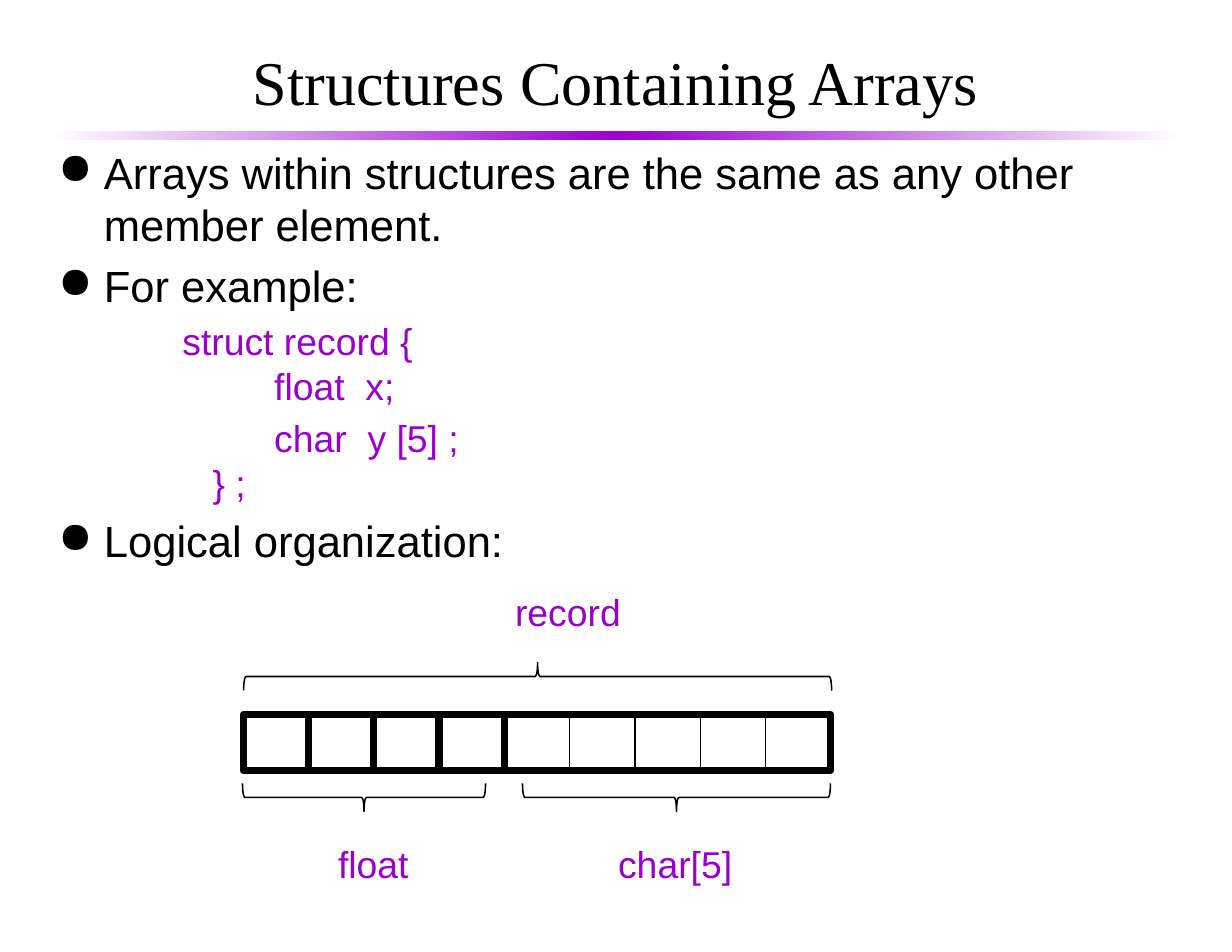
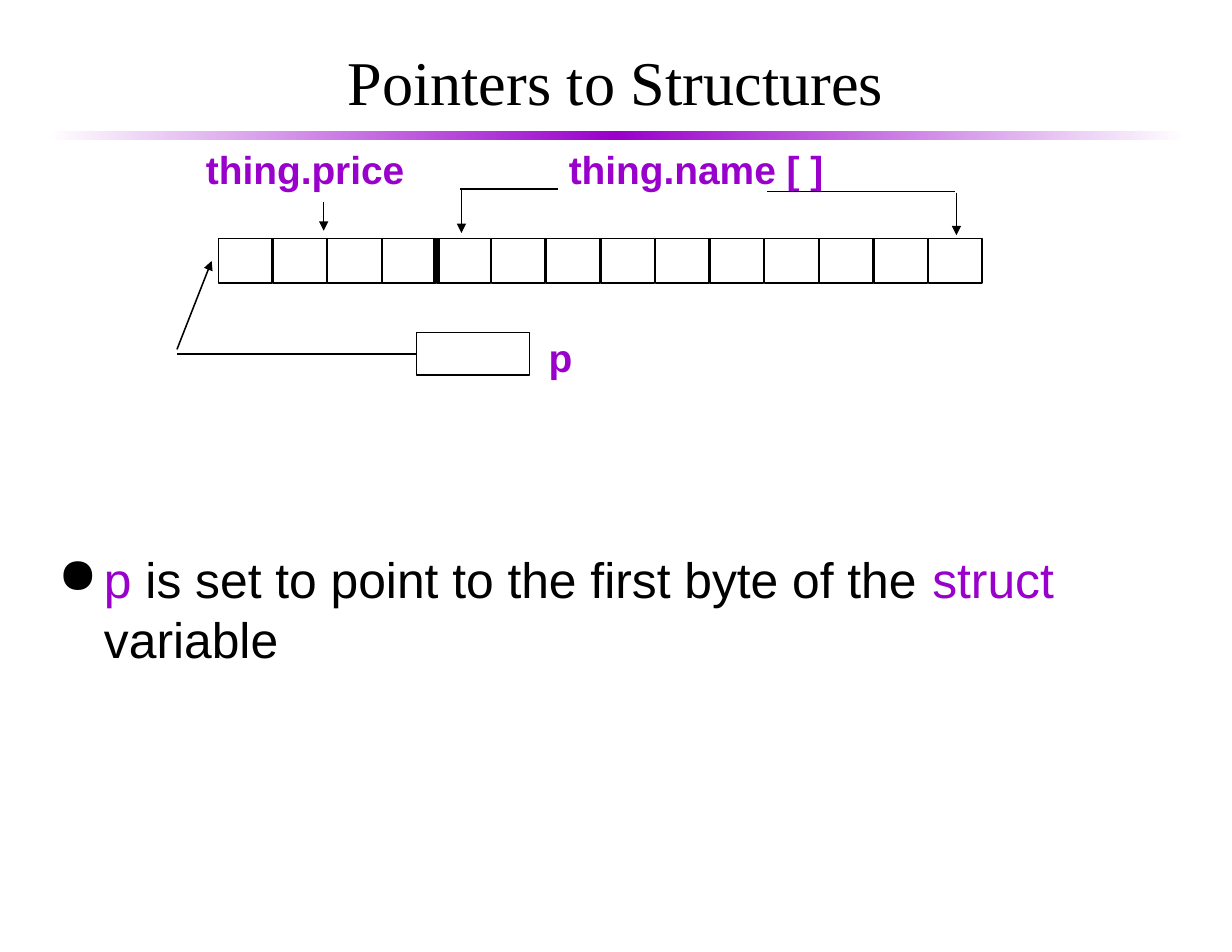
from copy import deepcopy

from lxml import etree
from pptx import Presentation
from pptx.dml.color import RGBColor
from pptx.enum.shapes import MSO_CONNECTOR, MSO_SHAPE
from pptx.enum.text import MSO_ANCHOR, PP_ALIGN
from pptx.oxml.ns import qn
from pptx.util import Inches, Pt

STRAIGHT = MSO_CONNECTOR.STRAIGHT
RECTANGLE = MSO_SHAPE.RECTANGLE
RIGHT_BRACE = MSO_SHAPE.RIGHT_BRACE
CENTER, LEFT = PP_ALIGN.CENTER, PP_ALIGN.LEFT
MIDDLE, TOP = MSO_ANCHOR.MIDDLE, MSO_ANCHOR.TOP
TOP_SIDE, LEFT_SIDE, BOTTOM_SIDE = 0, 1, 2

COLORS = {"paper": "FFFFFF", "ink": "000000", "accent": "9900CC"}
TITLE_FONT = "Times New Roman"
BODY_FONT = "Arial"
BULLET_INDENT = 0.41


def color(name):
    return RGBColor.from_string(COLORS[name])


def add_shape(slide, kind, left, top, width, height, line_width=1):
    shape = slide.shapes.add_shape(kind, Inches(left), Inches(top), Inches(width), Inches(height))
    shape.shadow.inherit = False
    shape.fill.background()
    if line_width:
        shape.line.color.rgb = color("ink")
        shape.line.width = Pt(line_width)
    else:
        shape.line.fill.background()
    return shape


def add_line(slide, start, end, width=1, arrow=False):
    line = slide.shapes.add_connector(STRAIGHT, *(Inches(value) for value in (*start, *end)))
    line.line.color.rgb = color("ink")
    line.line.width = Pt(width)
    properties = line._element.spPr
    if arrow:
        etree.SubElement(properties.find(qn("a:ln")), qn("a:tailEnd"), type="triangle")
    etree.SubElement(properties, qn("a:effectLst"))
    return line


def add_brace(slide, center_x, center_y, span, rotation):
    depth = 0.25
    brace = add_shape(slide, RIGHT_BRACE, center_x - depth / 2, center_y - span / 2, depth, span)
    brace.adjustments[0] = 0.08
    brace.rotation = rotation


def add_text_frame(slide, left, top, width, height, anchor=TOP):
    box = slide.shapes.add_textbox(Inches(left), Inches(top), Inches(width), Inches(height))
    frame = box.text_frame
    frame.word_wrap = True
    frame.vertical_anchor = anchor
    return frame


def add_bullet(paragraph):
    properties = paragraph._p.get_or_add_pPr()
    properties.set("indent", str(-Inches(BULLET_INDENT)))
    bullet_color = etree.SubElement(properties, qn("a:buClr"))
    etree.SubElement(bullet_color, qn("a:srgbClr"), val=COLORS["ink"])
    etree.SubElement(properties, qn("a:buChar"), char="●")


def write(frame, *runs, size=24, font=BODY_FONT, ink="ink", bold=False, align=LEFT,
          before=0, spacing=None, margin=0, bullet=False):
    paragraph = frame.paragraphs[0]
    if paragraph.runs:
        paragraph = frame.add_paragraph()
    paragraph.alignment = align
    paragraph.space_before = Pt(before)
    if spacing:
        paragraph.line_spacing = spacing
    paragraph._p.get_or_add_pPr().set("marL", str(Inches(margin)))
    if bullet:
        add_bullet(paragraph)
    for item in runs:
        text, run_ink = item if isinstance(item, tuple) else (item, ink)
        run = paragraph.add_run()
        run.text = text
        run.font.name = font
        run.font.size = Pt(size)
        run.font.bold = bold
        run.font.color.rgb = color(run_ink)


def write_bullet(frame, *runs, size=28, before=0.0):
    write(frame, *runs, size=size, before=before, margin=BULLET_INDENT, bullet=True)


def add_label(slide, text, left, top, width, **text_format):
    frame = add_text_frame(slide, left, top, width, 0.5)
    write(frame, text, ink="accent", **text_format)


def add_title_band(slide):
    band = add_shape(slide, RECTANGLE, 0.42, 1.17, 10.17, 0.08, line_width=0)
    band.fill.gradient()
    band.fill.gradient_angle = 0
    stop_list = band._element.spPr.find(qn("a:gradFill")).find(qn("a:gsLst"))
    stop_list.insert(1, deepcopy(stop_list[0]))
    stops = zip(band.fill.gradient_stops, (0, 0.5, 1), ("paper", "accent", "paper"))
    for stop, position, name in stops:
        stop.position = position
        stop.color.rgb = color(name)


def add_titled_slide(presentation, title):
    slide = presentation.slides.add_slide(presentation.slide_layouts[6])
    add_title_band(slide)
    frame = add_text_frame(slide, 0.58, 0.28, 9.83, 0.88, anchor=MIDDLE)
    write(frame, title, size=40, font=TITLE_FONT, align=CENTER)
    return slide


def add_record_diagram(slide):
    left, top, height = 2.17, 6.38, 0.5
    byte_width = 5.25 / 9
    float_bytes, char_bytes = 4, 5
    split = left + float_bytes * byte_width
    float_box = add_shape(slide, RECTANGLE, left, top, float_bytes * byte_width, height, 4.5)
    add_shape(slide, RECTANGLE, split, top, char_bytes * byte_width, height, 4.5)
    for index in range(1, float_bytes + char_bytes):
        if index == float_bytes:
            continue
        x = left + index * byte_width
        width = 4.5 if index < float_bytes else 1
        divider = add_line(slide, (x, top), (x, top + height), width)
        if index == float_bytes / 2:
            divider.begin_connect(float_box, TOP_SIDE)
            divider.end_connect(float_box, BOTTOM_SIDE)
    add_brace(slide, 4.8, 6.04, 5.25, 270)
    add_brace(slide, 3.25, 7.12, 2.17, 90)
    add_brace(slide, 6.04, 7.12, 2.75, 90)
    add_label(slide, "record", 4.5, 5.21, 1.18)
    add_label(slide, "float", 2.92, 7.46, 0.86)
    add_label(slide, "char[5]", 5.42, 7.46, 1.25)


def build_arrays_slide(presentation):
    slide = add_titled_slide(presentation, "Structures Containing Arrays")
    body = add_text_frame(slide, 0.42, 1.25, 10.17, 6.83)
    write_bullet(body, "Arrays within structures are the same as any other member element.")
    write_bullet(body, "For example:", before=5.6)
    code_lines = [
        ("struct record {", 1.11, 4.8),
        ("float  x;", 1.93, 0),
        ("char  y [5] ;", 1.93, 4.8),
        ("} ;", 1.38, 0),
    ]
    for text, margin, before in code_lines:
        write(body, text, ink="accent", margin=margin, before=before)
    write_bullet(body, "Logical organization:", before=5.6)
    add_record_diagram(slide)


def add_pointer_diagram(slide):
    left, top, height, count = 1.95, 2.13, 0.4, 14
    pitch = (8.29 - left) / (count - 1)
    for index in range(count):
        add_shape(slide, RECTANGLE, left + index * pitch, top, 0.48, height)
    price_end = left + 4 * pitch
    add_line(slide, (price_end, top), (price_end, top + height), 4.5)

    label_format = {"size": 25, "bold": True, "spacing": 0.9}
    add_label(slide, "thing.price", 1.74, 1.3, 2.02, **label_format)
    add_label(slide, "thing.name [ ]", 4.98, 1.3, 2.52, **label_format)
    add_label(slide, "p", 4.8, 2.98, 0.45, **label_format)

    add_line(slide, (2.89, 1.8), (2.89, 2.06), arrow=True)
    add_line(slide, (4.98, 1.69), (4.11, 1.69))
    add_line(slide, (4.12, 1.7), (4.12, 2.08), arrow=True)
    add_line(slide, (6.85, 1.71), (8.53, 1.71))
    add_line(slide, (8.54, 1.72), (8.54, 2.1), arrow=True)

    pointer_box = add_shape(slide, RECTANGLE, 3.72, 2.97, 1.01, 0.38)
    pointer_line = add_line(slide, (3.72, 3.16), (1.58, 3.16))
    pointer_line.begin_connect(pointer_box, LEFT_SIDE)
    add_line(slide, (1.58, 3.12), (1.89, 2.33), arrow=True)


def build_pointers_slide(presentation):
    slide = add_titled_slide(presentation, "Pointers to Structures")
    body = add_text_frame(slide, 0.42, 4.85, 10.17, 3.23)
    write_bullet(body, ("p", "accent"), " is set to point to the first byte of the ",
                 ("struct", "accent"), " variable", size=32)
    add_pointer_diagram(slide)


def main():
    presentation = Presentation()
    presentation.slide_width = Inches(11)
    presentation.slide_height = Inches(8.5)
    build_arrays_slide(presentation)
    build_pointers_slide(presentation)
    presentation.save("out.pptx")


if __name__ == "__main__":
    main()
